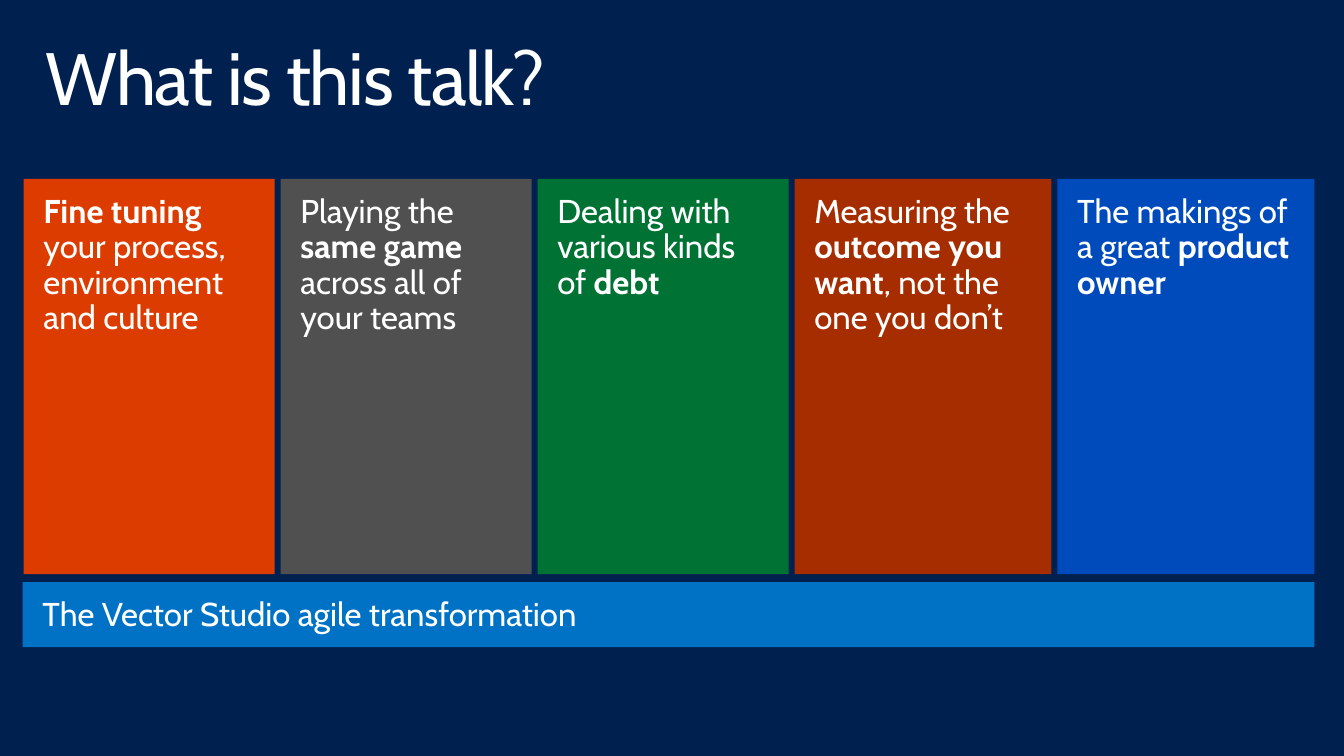
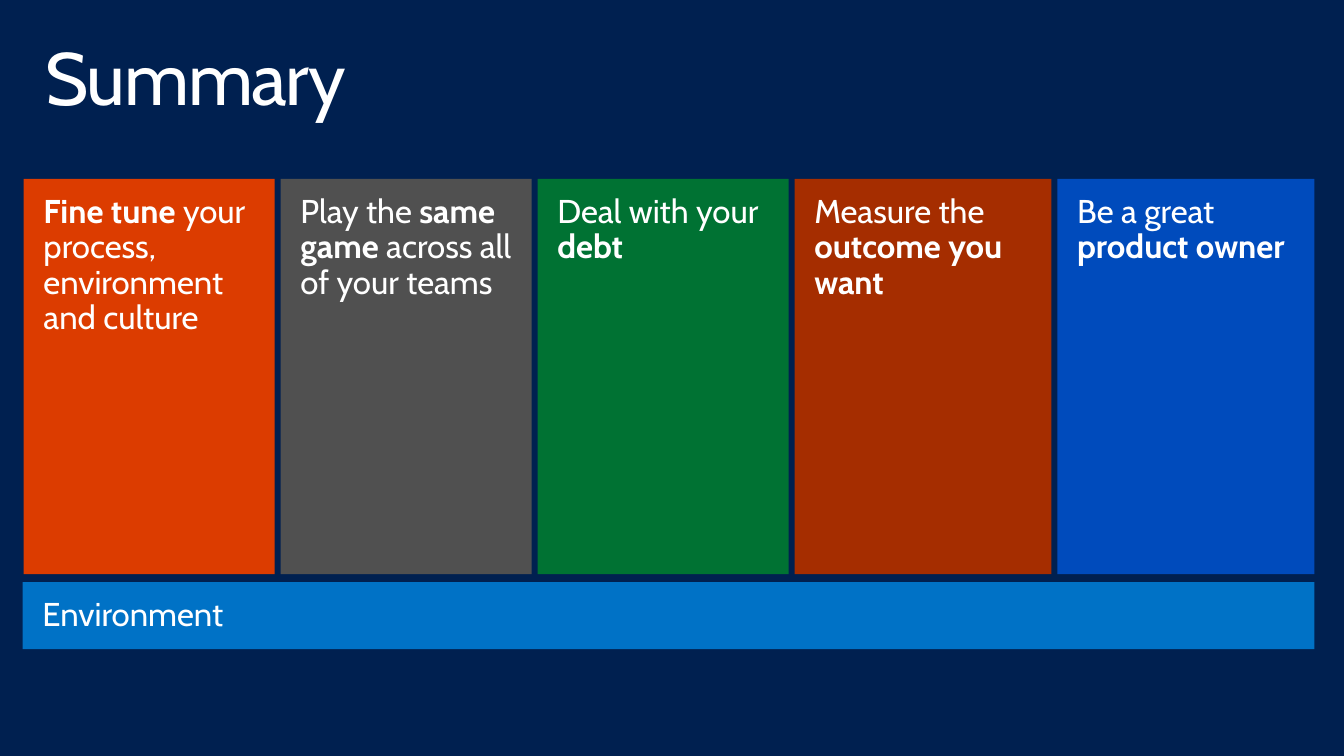
from pptx import Presentation
from pptx.dml.color import RGBColor
from pptx.enum import shapes, text
from pptx.util import Inches, Pt

NAVY = RGBColor(0x00, 0x20, 0x50)
WHITE = RGBColor(0xFF, 0xFF, 0xFF)
SKY = RGBColor(0x00, 0x72, 0xC6)
ORANGE = RGBColor(0xDC, 0x3C, 0x00)
GRAY = RGBColor(0x50, 0x50, 0x50)
GREEN = RGBColor(0x00, 0x72, 0x33)
RUST = RGBColor(0xA5, 0x2D, 0x00)
BLUE = RGBColor(0x00, 0x4B, 0xBC)

FONT = "Cabin"
TITLE_ONLY = 5

# Column fills and widths, left to right
COLUMNS = [(ORANGE, 2.54), (GRAY, 2.54), (GREEN, 2.54), (RUST, 2.6), (BLUE, 2.6)]
COLUMN_LEFT, COLUMN_TOP, COLUMN_HEIGHT, COLUMN_GAP = 0.24, 1.81, 4, 0.06


class Deck:
    """Holds the shared style and the current slide."""

    def __init__(self):
        self.presentation = Presentation()
        self.presentation.slide_width = Inches(13.6)
        self.presentation.slide_height = Inches(7.65)
        background = self.presentation.slide_master.background.fill
        background.solid()
        background.fore_color.rgb = NAVY
        self.slide = None

    def add_slide(self, title):
        layout = self.presentation.slide_layouts[TITLE_ONLY]
        self.slide = self.presentation.slides.add_slide(layout)
        shape = self.slide.shapes.title
        shape.left, shape.top = Inches(0.3), Inches(0.32)
        shape.width, shape.height = Inches(13), Inches(1)
        paragraph = self.set_text(shape, title, 54, 0.16, 0.1)
        for run in paragraph.runs:
            run.font._element.set("spc", "-100")  # tighten letters by 1 pt

    def set_text(self, shape, content, size, side_inset, end_inset):
        """Fill a shape with one paragraph; parts between asterisks are bold."""
        frame = shape.text_frame
        frame.word_wrap = True
        frame.auto_size = text.MSO_AUTO_SIZE.NONE
        frame.vertical_anchor = text.MSO_ANCHOR.TOP
        frame.margin_left = frame.margin_right = Inches(side_inset)
        frame.margin_top = frame.margin_bottom = Inches(end_inset)
        paragraph = frame.paragraphs[0]
        paragraph.alignment = text.PP_ALIGN.LEFT
        paragraph.line_spacing = 0.9
        paragraph.space_before = Pt(0)
        paragraph.font.name = FONT
        paragraph.font.size = Pt(size)
        paragraph.font.color.rgb = WHITE
        for index, part in enumerate(content.split("*")):
            if part:
                run = paragraph.add_run()
                run.text = part
                run.font.bold = index % 2 == 1
        return paragraph

    def add_tile(self, left, top, width, height, color, content):
        shape = self.slide.shapes.add_shape(
            shapes.MSO_SHAPE.RECTANGLE,
            Inches(left), Inches(top), Inches(width), Inches(height))
        shape.shadow.inherit = False
        shape.fill.solid()
        shape.fill.fore_color.rgb = color
        shape.line.fill.background()
        paragraph = self.set_text(shape, content, 24, 0.2, 0.16)
        paragraph.space_after = Pt(6.1)

    def add_columns(self, contents):
        left = COLUMN_LEFT
        for (color, width), content in zip(COLUMNS, contents):
            self.add_tile(left, COLUMN_TOP, width, COLUMN_HEIGHT, color, content)
            left += width + COLUMN_GAP

    def add_base(self, content, height):
        self.add_tile(0.23, 5.89, 13.07, height, SKY, content)


def main():
    deck = Deck()

    # Opening: topics of the talk
    deck.add_slide("What is this talk?")
    deck.add_base("The Vector Studio agile transformation", 0.66)
    deck.add_columns([
        "*Fine tuning *your process, environment and culture",
        "Playing the *same game *across all of your teams",
        "Dealing with various kinds of *debt*",
        "Measuring the *outcome you want*, not the one you don’t",
        "The makings of a great *product owner*",
    ])

    # Closing: what to take away
    deck.add_slide("Summary")
    deck.add_base("Environment", 0.68)
    deck.add_columns([
        "*Fine tune *your process, environment and culture",
        "Play the *same game *across all of your teams",
        "Deal with your *debt*",
        "Measure the *outcome you want*",
        "Be a great *product owner*",
    ])

    deck.presentation.save("out.pptx")


if __name__ == "__main__":
    main()
